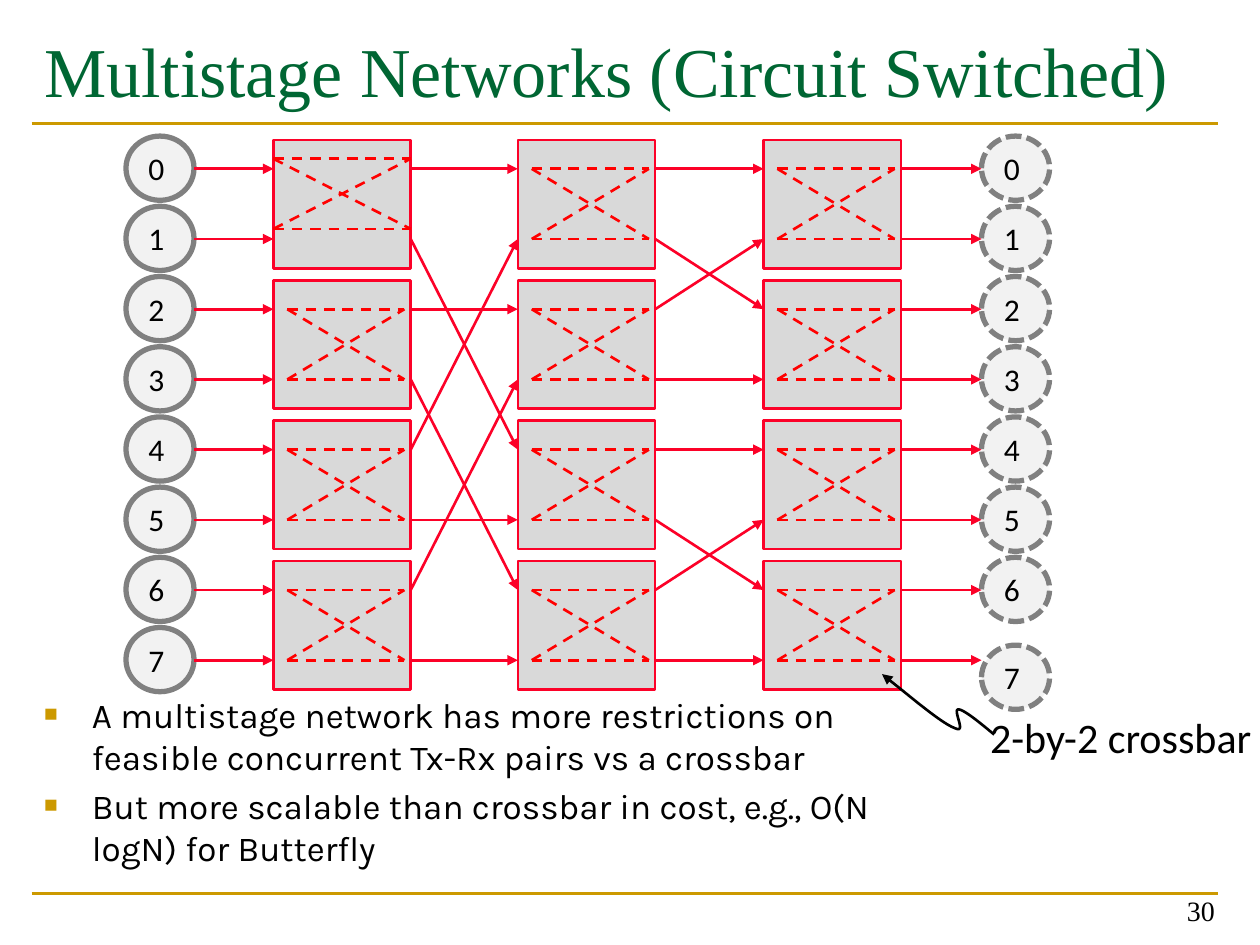
import lxml.etree
import pptx
import pptx.dml.color
import pptx.enum.dml
import pptx.enum.shapes
import pptx.enum.text
import pptx.oxml.ns
import pptx.util

Inches = pptx.util.Inches
Pt = pptx.util.Pt
Dash = pptx.enum.dml.MSO_LINE
Form = pptx.enum.shapes.MSO_SHAPE
Align = pptx.enum.text.PP_ALIGN
Anchor = pptx.enum.text.MSO_ANCHOR
qn = pptx.oxml.ns.qn

COLORS = {
    "gold": "CC9900", "green": "006633", "black": "000000",
    "box": "D9D9D9", "node": "F2F2F2", "rim": "808080",
    "wire": "FC0128", "cross": "FF0000",
}
COLS = [2.17, 4.11, 6.06]
BOX_W, BOX_H = 1.09, 1.02
NODE_W, NODE_H = 0.54, 0.51
LEFT_X, RIGHT_X = 1, 7.79
TOP, STEP = 1.34, 3.9 / 7
POINTS = [
    "A multistage network has more restrictions on feasible concurrent Tx-Rx pairs vs a crossbar",
    "But more scalable than crossbar in cost, e.g., O(N logN) for Butterfly",
]
CURVE = [
    [(7, 5.35), (7.24, 5.54), (7.47, 5.74), (7.58, 5.78)],
    [(7.58, 5.78), (7.68, 5.83), (7.55, 5.62), (7.61, 5.63)],
    [(7.61, 5.63), (7.66, 5.64), (7.77, 5.73), (7.89, 5.83)],
]


def port(row):
    return TOP + STEP * row


def swap(row, bit):
    low, high = row & 1, row >> bit & 1
    return row ^ (1 | 1 << bit) if low != high else row


def bezier(ends, t):
    u = 1 - t
    parts = (u ** 3, 3 * u * u * t, 3 * u * t * t, t ** 3)
    return tuple(Inches(sum(w * p[axis] for w, p in zip(parts, ends))) for axis in (0, 1))


class Deck:
    def __init__(self):
        self.prs = pptx.Presentation()
        self.prs.slide_width, self.prs.slide_height = Inches(10), Inches(7.5)
        self.slide = self.prs.slides.add_slide(self.prs.slide_layouts[1])
        self.shapes = self.slide.shapes

    def color(self, name):
        return pptx.dml.color.RGBColor.from_string(COLORS[name])

    def place(self, item, x, y, w, h):
        item.left, item.top, item.width, item.height = map(Inches, (x, y, w, h))

    def add_text(self, par, text, size, font, color="black"):
        run = par.add_run()
        run.text = text
        run.font.size, run.font.name = Pt(size), font
        run.font.color.rgb = self.color(color)

    def stroke(self, item, color, width=1.5, dash=None):
        item.line.color.rgb = self.color(color)
        item.line.width = Pt(width)
        if dash:
            item.line.dash_style = dash

    def arrow(self, item, end):
        line = item.element.spPr.find(qn("a:ln"))
        lxml.etree.SubElement(line, qn(end), type="triangle")

    def title(self, text):
        head = self.shapes.title
        self.place(head, 0.25, 0.17, 9.42, 1.17)
        head.text_frame.vertical_anchor = Anchor.TOP
        par = head.text_frame.paragraphs[0]
        par.alignment = Align.LEFT
        self.add_text(par, text, 40, "Times New Roman", "green")

    def bullets(self, lines):
        body = self.slide.placeholders[1]
        self.place(body, 0.25, 5.45, 7.25, 1.63)
        frame = body.text_frame
        for i, text in enumerate(lines):
            par = frame.add_paragraph() if i else frame.paragraphs[0]
            par.space_before = Pt(4)
            props = par._p.get_or_add_pPr()
            props.set("marL", str(Inches(0.38)))
            props.set("indent", str(Inches(-0.38)))
            tint = lxml.etree.SubElement(props, qn("a:buClr"))
            lxml.etree.SubElement(tint, qn("a:srgbClr"), val=COLORS["gold"])
            lxml.etree.SubElement(props, qn("a:buSzPct"), val="65000")
            lxml.etree.SubElement(props, qn("a:buChar"), char="■")
            self.add_text(par, text, 20, "Karla")

    def label(self, text, x, y, w, h, size, font, wrap=False, align=Align.LEFT, anchor=Anchor.TOP):
        box = self.shapes.add_textbox(*map(Inches, (x, y, w, h)))
        frame = box.text_frame
        frame.word_wrap, frame.vertical_anchor = wrap, anchor
        frame.paragraphs[0].alignment = align
        self.add_text(frame.paragraphs[0], text, size, font)

    def shape(self, form, x, y, w, h, fill, line, width=1.5, dash=None):
        item = self.shapes.add_shape(form, *map(Inches, (x, y, w, h)))
        item.shadow.inherit = False
        item.fill.solid()
        item.fill.fore_color.rgb = self.color(fill)
        self.stroke(item, line, width, dash)
        return item

    def node(self, text, x, y, dash=None):
        item = self.shape(Form.OVAL, x, y, NODE_W, NODE_H, "node", "rim", 3, dash)
        frame = item.text_frame
        frame.word_wrap, frame.vertical_anchor = False, Anchor.MIDDLE
        frame.paragraphs[0].alignment = Align.LEFT
        self.add_text(frame.paragraphs[0], text, 18, "Calibri")

    def line(self, x1, y1, x2, y2, color, dash=None, home=None):
        kind = pptx.enum.shapes.MSO_CONNECTOR.STRAIGHT
        item = (home or self.shapes).add_connector(kind, *map(Inches, (x1, y1, x2, y2)))
        self.stroke(item, color, dash=dash)
        lxml.etree.SubElement(item.element.spPr, qn("a:effectLst"))
        return item

    def wire(self, x1, y1, x2, y2):
        self.arrow(self.line(x1, y1, x2, y2, "wire"), "a:tailEnd")

    def cross(self, x, y, w):
        group = self.shapes.add_group_shape()
        low = y + STEP
        for start, end in ((y, y), (low, low), (low, y), (y, low)):
            self.line(x, start, x + w, end, "cross", Dash.DASH, group.shapes)

    def curve(self, parts, steps=12):
        dots = [bezier(part, i / steps) for part in parts for i in range(1, steps + 1)]
        pen = self.shapes.build_freeform(*bezier(parts[0], 0), scale=1.0)
        pen.add_line_segments(dots, close=False)
        item = pen.convert_to_shape()
        item.shadow.inherit = False
        item.fill.background()
        self.stroke(item, "black")
        self.arrow(item, "a:headEnd")


def main():
    deck = Deck()
    for y in (7.09, 0.98):
        deck.line(0.25, y, 9.67, y, "gold")
    deck.title("Multistage Networks (Circuit Switched)")
    deck.bullets(POINTS)
    deck.label("30", 7.41, 6.91, 2.33, 0.5, 16, "Times New Roman",
               True, Align.RIGHT, Anchor.BOTTOM)

    for x in COLS:
        for pair in range(4):
            deck.shape(Form.RECTANGLE, x, 1.11 + 2 * STEP * pair, BOX_W, BOX_H, "box", "wire")
            if x == COLS[0] and pair == 0:
                deck.cross(x, 1.26, BOX_W)
            else:
                deck.cross(x + 0.11, port(2 * pair), 0.93)

    for row in range(8):
        y = port(row)
        top = 1.08 + STEP * row
        deck.node(str(row), LEFT_X, top)
        deck.node(str(row), RIGHT_X, 5.12 if row == 7 else top, Dash.SQUARE_DOT)
        deck.wire(LEFT_X + NODE_W, y, COLS[0], y)
        for stage, bit in enumerate((2, 1)):
            deck.wire(COLS[stage] + BOX_W, y, COLS[stage + 1], port(swap(row, bit)))
        deck.wire(COLS[2] + BOX_W, y, RIGHT_X, y)

    deck.label("2-by-2 crossbar", 7.76, 5.6, 2.3, 0.51, 24, "Calibri")
    deck.curve(CURVE)
    deck.prs.save("out.pptx")


if __name__ == "__main__":
    main()
